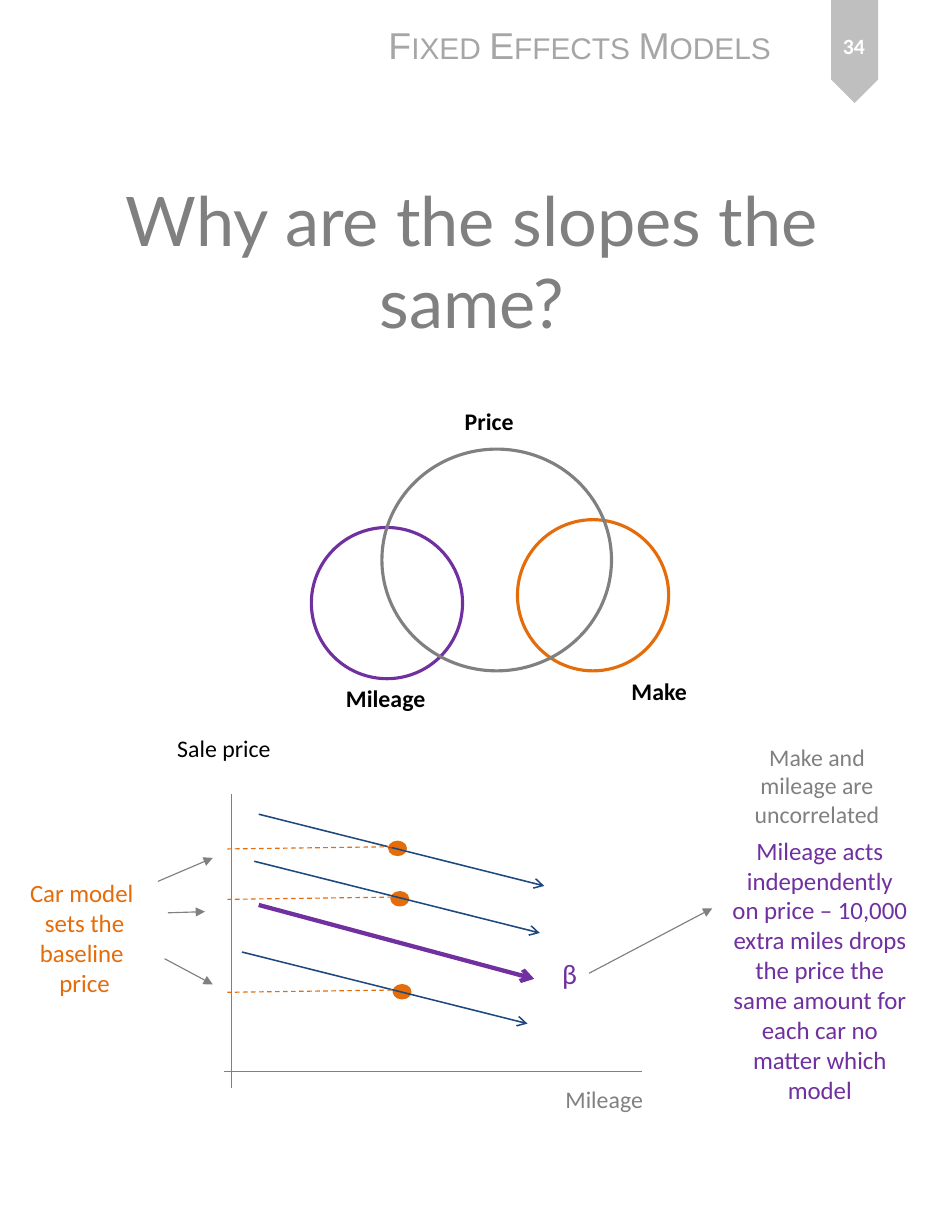
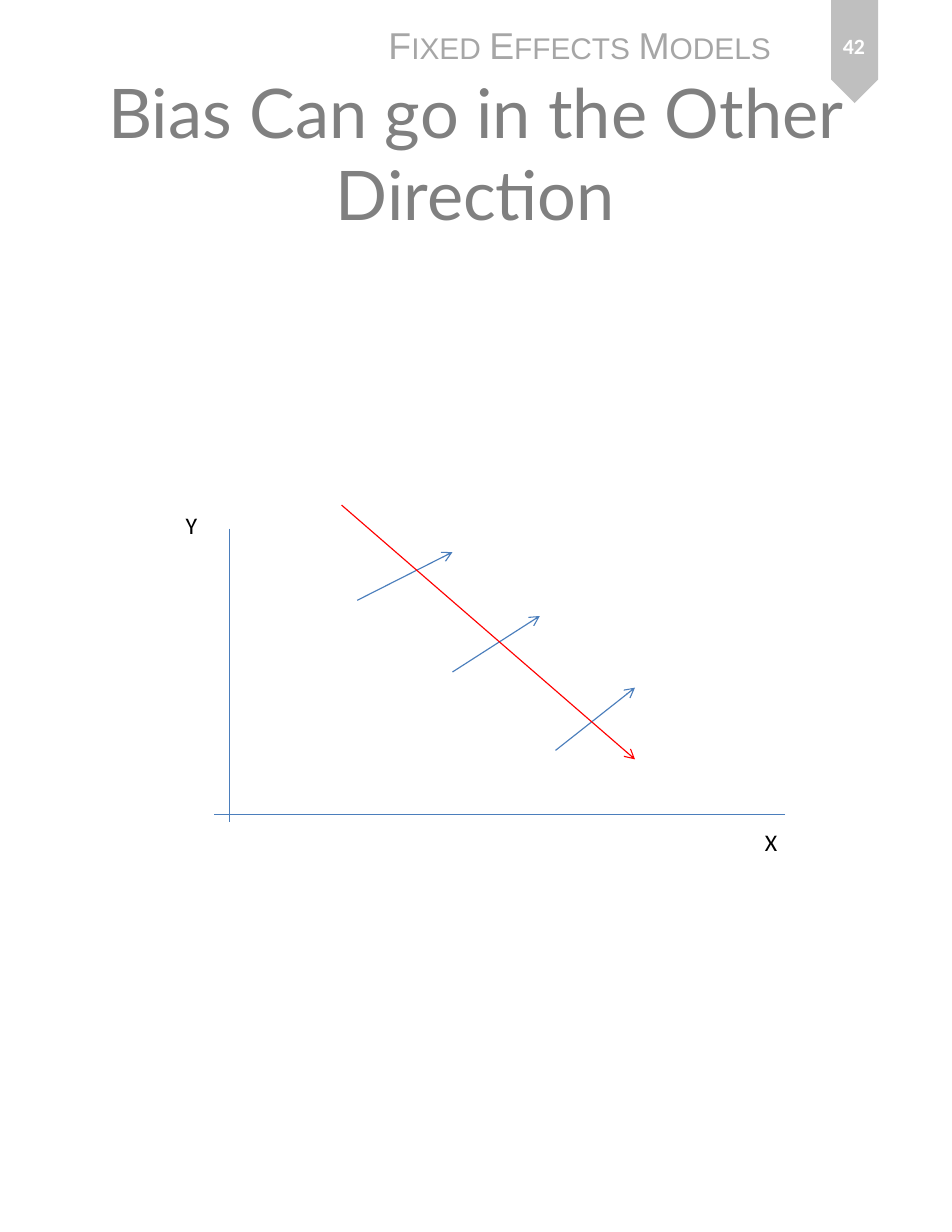
from dataclasses import dataclass
from typing import Optional

from lxml.etree import SubElement
from pptx import Presentation
from pptx.dml.color import RGBColor
from pptx.enum.dml import MSO_LINE as Dash
from pptx.enum.shapes import MSO_CONNECTOR as Link, MSO_SHAPE as Form
from pptx.enum.text import MSO_ANCHOR as Anchor, PP_ALIGN as Align
from pptx.oxml.ns import qn
from pptx.slide import Slide
from pptx.util import Emu, Inches, Pt

WIDTH, HEIGHT = Inches(8.5), Inches(11)
COLS, ROWS = 85, 110

BLACK = RGBColor(0x00, 0x00, 0x00)
WHITE = RGBColor(0xFF, 0xFF, 0xFF)
GRAY = RGBColor(0x80, 0x80, 0x80)
PALE = RGBColor(0xA6, 0xA6, 0xA6)
BAND = RGBColor(0xBF, 0xBF, 0xBF)
PURPLE = RGBColor(0x70, 0x30, 0xA0)
ORANGE = RGBColor(0xE4, 0x6C, 0x0A)
NAVY = RGBColor(0x1F, 0x49, 0x7D)
BLUE = RGBColor(0x4B, 0x7E, 0xBC)
RED = RGBColor(0xFF, 0x00, 0x00)

PLAIN = {"name": "Calibri", "size": Pt(15.3), "bold": False}
BOLD = PLAIN | {"bold": True}
NOTE = PLAIN | {"size": Pt(16)}
BETA = PLAIN | {"size": Pt(18)}
PAGE = BOLD | {"size": Pt(14)}
TITLE = PLAIN | {"name": "Lato", "size": Pt(44)}
HEAD = PLAIN | {"name": "Arial", "size": Pt(24)}


@dataclass(frozen=True)
class Box:
    """A place on the grid, in columns and rows."""
    col: float
    row: float
    wide: float
    high: float

    def place(self) -> tuple[Emu, Emu, Emu, Emu]:
        """Give left, top, width and height."""
        return (*spot(self.col, self.row), *spot(self.wide, self.high))


@dataclass(frozen=True)
class Label:
    """A text with its place and look."""
    text: str
    box: Box
    color: RGBColor = BLACK
    font: Optional[dict] = None
    wrap: bool = False
    center: bool = False
    middle: bool = False
    caps: bool = False


@dataclass(frozen=True)
class Stroke:
    """A straight line between two grid points."""
    start: tuple[float, float]
    end: tuple[float, float]
    color: RGBColor
    weight: float = 0.75
    tip: str = ""
    dash: bool = False


@dataclass(frozen=True)
class Oval:
    """An ellipse with a coloured outline."""
    box: Box
    color: RGBColor
    solid: bool = False


def spot(col: float, row: float) -> tuple[Emu, Emu]:
    """Turn columns and rows into slide lengths."""
    return Emu(round(col * WIDTH / COLS)), Emu(round(row * HEIGHT / ROWS))


def write(slide: Slide, label: Label) -> None:
    """Draw a text box."""
    frame = slide.shapes.add_textbox(*label.box.place()).text_frame
    look = {
        "word_wrap": label.wrap,
        "vertical_anchor": Anchor.MIDDLE if label.middle else Anchor.TOP,
    }
    for key, value in look.items():
        setattr(frame, key, value)
    para = frame.paragraphs[0]
    para.text = label.text
    para.alignment = Align.CENTER if label.center else Align.LEFT
    for run in para.runs:
        for key, value in (label.font or PLAIN).items():
            setattr(run.font, key, value)
        run.font.color.rgb = label.color
        if label.caps:
            run._r.get_or_add_rPr().set("cap", "small")


def trace(slide: Slide, stroke: Stroke) -> None:
    """Draw a line or an arrow."""
    item = slide.shapes.add_connector(
        Link.STRAIGHT, *spot(*stroke.start), *spot(*stroke.end))
    item.line.color.rgb = stroke.color
    item.line.width = Pt(stroke.weight)
    if stroke.dash:
        item.line.dash_style = Dash.DASH
    if stroke.tip:
        SubElement(item.line._get_or_add_ln(), qn("a:tailEnd"), type=stroke.tip)
    SubElement(item._element.spPr, qn("a:effectLst"))


def ring(slide: Slide, oval: Oval) -> None:
    """Draw an ellipse."""
    item = slide.shapes.add_shape(Form.OVAL, *oval.box.place())
    item.shadow.inherit = False
    item.line.color.rgb = oval.color
    item.line.width = Pt(2)
    if oval.solid:
        item.fill.solid()
        item.fill.fore_color.rgb = oval.color
    else:
        item.fill.background()


def start(deck: Presentation, title: str, box: Box, page: int) -> Slide:
    """Add a slide with its band, header, title and number."""
    slide = deck.slides.add_slide(deck.slide_layouts[6])
    band = slide.shapes.add_shape(Form.PENTAGON, *Box(71.7, 2.5, 9.2, 4.2).place())
    band.rotation = 90
    band.shadow.inherit = False
    band.fill.solid()
    band.fill.fore_color.rgb = BAND
    band.line.fill.background()
    for label in (
        Label("Fixed Effects Models", Box(33.7, 1.5, 36.8, 5), PALE, HEAD, caps=True),
        Label(title, box, GRAY, TITLE, wrap=True, center=True, middle=True),
        Label(str(page), Box(72.9, 1.1, 6.7, 5.9), WHITE, PAGE,
              wrap=True, center=True, middle=True),
    ):
        write(slide, label)
    return slide


def slopes(deck: Presentation) -> None:
    """Build the slide on equal slopes."""
    slide = start(deck, "Why are the slopes the same?", Box(3.9, 14.1, 76.5, 18.3), 34)
    dots = [(34.8, 75.2), (35, 79.7), (35.2, 88)]
    tops = [(23.1, 72.7), (22.7, 76.9), (21.6, 85)]
    ovals = [
        Oval(Box(27.8, 47.1, 13.5, 13.5), PURPLE),
        Oval(Box(46.2, 46.4, 13.5, 13.5), ORANGE),
        Oval(Box(34.1, 40.1, 20.5, 19.8), GRAY),
        *(Oval(Box(x, y, 1.4, 1.1), ORANGE, True) for x, y in dots),
    ]
    strokes = [
        Stroke((20.7, 70.9), (20.7, 97.1), GRAY),
        Stroke((57.3, 95.7), (20, 95.7), GRAY),
        Stroke((23.1, 80.8), (47.7, 87.4), PURPLE, 2.75, "arrow"),
        *(Stroke((x, y), (x + 25.5, y + 6.4), NAVY, 1, "arrow") for x, y in tops),
        *(Stroke((35, y + 0.4), (20.3, y + 0.6), ORANGE, dash=True) for _, y in dots),
        Stroke((14.7, 85.6), (19, 87.9), GRAY, tip="triangle"),
        Stroke((15, 81.5), (18.3, 81.4), GRAY, tip="triangle"),
        Stroke((14.1, 78.7), (19, 76.6), GRAY, tip="triangle"),
        Stroke((52.6, 86.9), (63.6, 81.1), GRAY, tip="triangle"),
    ]
    labels = [
        Label("Price", Box(40.5, 35.8, 6.4, 3.6), font=BOLD),
        Label("Make", Box(55.4, 59.9, 7, 3.6), font=BOLD),
        Label("Mileage", Box(29.9, 60.6, 9.2, 3.6), font=BOLD),
        Label("Mileage", Box(49.5, 96.4, 9, 3.6), GRAY),
        Label("Sale price", Box(14.8, 65, 10.4, 3.6), center=True),
        Label("β", Box(49.2, 84.9, 3.4, 4), PURPLE, BETA),
        Label("Car model \vsets the baseline \vprice", Box(0.1, 77.9, 14.9, 11.8),
              ORANGE, NOTE, wrap=True, center=True),
        Label("Mileage acts independently on price – 10,000 extra miles drops the "
              "price the same amount for each car no matter which model",
              Box(64.3, 74.1, 17.8, 25.2), PURPLE, NOTE, wrap=True, center=True),
        Label("Make and mileage are uncorrelated", Box(65.3, 65.8, 15.3, 8.7),
              GRAY, wrap=True, center=True),
    ]
    fill(slide, ovals, strokes, labels)


def bias(deck: Presentation) -> None:
    """Build the slide on the direction of bias."""
    slide = start(deck, "Bias Can go in the Other Direction",
                  Box(4.2, 4.4, 76.5, 18.3), 42)
    rises = [
        ((31.9, 53.6), (40.4, 49.3)),
        ((40.4, 60), (48.2, 55)),
        ((49.6, 67), (56.7, 61.4)),
    ]
    strokes = [
        Stroke((20.5, 47.2), (20.5, 73.4), BLUE),
        Stroke((70.1, 72.7), (19.1, 72.7), BLUE),
        *(Stroke(low, high, BLUE, tip="arrow") for low, high in rises),
        Stroke((30.5, 45.1), (56.7, 67.8), RED, tip="arrow"),
    ]
    labels = [
        Label("X", Box(67.3, 73.4, 3.1, 3.6)),
        Label("Y", Box(15.6, 45.1, 3.1, 3.6)),
    ]
    fill(slide, [], strokes, labels)


def fill(slide: Slide, ovals: list[Oval], strokes: list[Stroke],
         labels: list[Label]) -> None:
    """Draw all parts of a slide."""
    for draw, parts in ((ring, ovals), (trace, strokes), (write, labels)):
        for part in parts:
            draw(slide, part)


def main() -> None:
    """Build and save the deck."""
    deck = Presentation()
    for key, value in {"slide_width": WIDTH, "slide_height": HEIGHT}.items():
        setattr(deck, key, value)
    slopes(deck)
    bias(deck)
    deck.save("out.pptx")


main()
